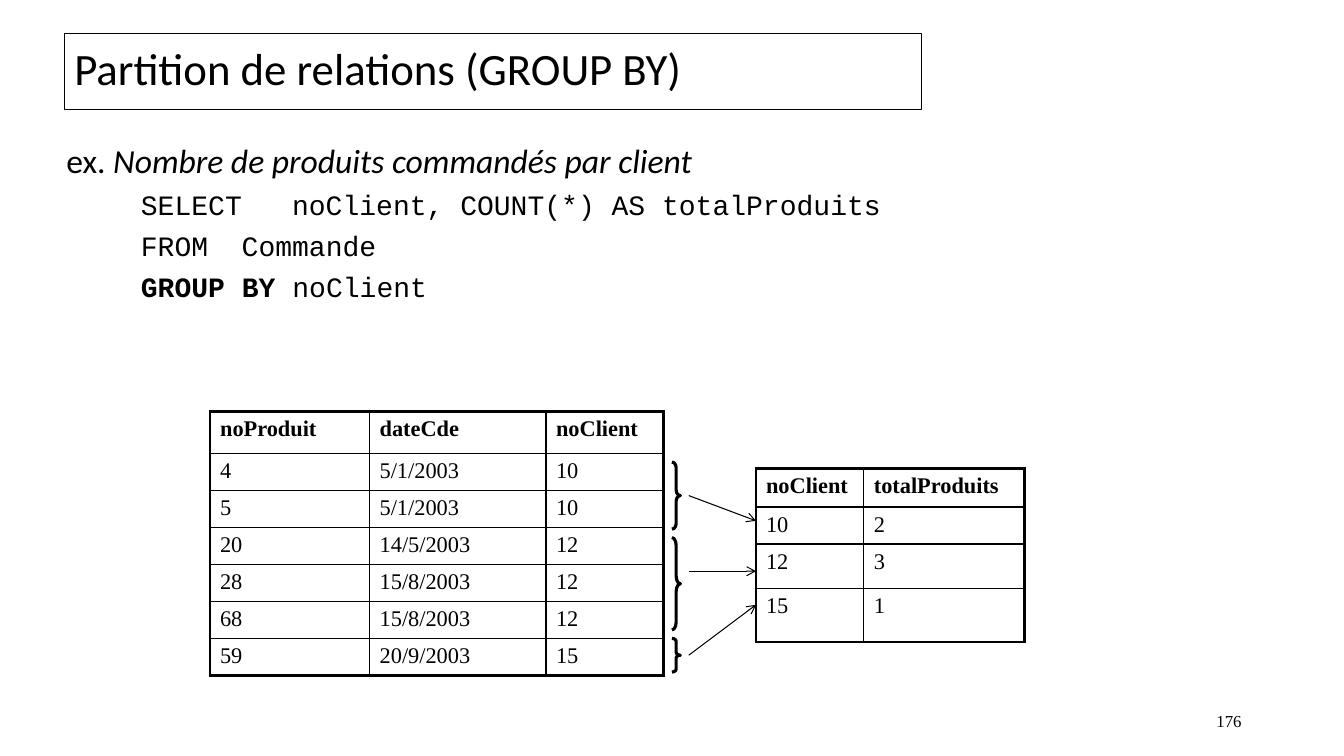
from dataclasses import dataclass

from lxml import etree
from pptx import Presentation
from pptx.dml.color import RGBColor
from pptx.enum.shapes import MSO_CONNECTOR, MSO_SHAPE
from pptx.enum.text import MSO_ANCHOR, PP_ALIGN
from pptx.oxml.ns import qn
from pptx.util import Pt

STRAIGHT = MSO_CONNECTOR.STRAIGHT
RECTANGLE, BRACE = MSO_SHAPE.RECTANGLE, MSO_SHAPE.RIGHT_BRACE
MIDDLE = MSO_ANCHOR.MIDDLE
LEFT, RIGHT = PP_ALIGN.LEFT, PP_ALIGN.RIGHT


@dataclass(frozen=True)
class Theme:
    ink: RGBColor = RGBColor(0, 0, 0)
    sans: str = "Calibri"
    mono: str = "Courier New"
    serif: str = "Times New Roman"
    title: int = 32
    lead: int = 24
    code: int = 20
    cell: int = 16
    number: int = 12
    thin: float = 0.75
    grid: float = 1
    thick: float = 2.25


THEME = Theme()

ORDERS = [
    ("noProduit", "dateCde", "noClient"),
    ("4", "5/1/2003", "10"),
    ("5", "5/1/2003", "10"),
    ("20", "14/5/2003", "12"),
    ("28", "15/8/2003", "12"),
    ("68", "15/8/2003", "12"),
    ("59", "20/9/2003", "15"),
]
TOTALS = [("noClient", "totalProduits"), ("10", "2"), ("12", "3"), ("15", "1")]

# Brace top and height, then arrow start and end heights
GROUPS = [(330, 48, 354, 372), (384, 66, 408, 408), (456, 24, 468, 432)]
BRACE_LEFT, BRACE_WIDTH = 480, 6
ARROW_LEFT, ARROW_RIGHT = 492, 540


def box(*lengths):
    return [Pt(v) for v in lengths]


def style(font, name, size, bold=None, italic=None):
    font.name, font.size = name, Pt(size)
    font.bold, font.italic = bold, italic
    font.color.rgb = THEME.ink


def outline(line, width):
    line.color.rgb = THEME.ink
    line.width = Pt(width)


def add_title(slide, text):
    sp = slide.shapes.add_shape(RECTANGLE, *box(46, 24, 612, 54))
    sp.shadow.inherit = False
    sp.fill.background()
    outline(sp.line, THEME.thin)
    tf = sp.text_frame
    tf.vertical_anchor = MIDDLE
    p = tf.paragraphs[0]
    p.text, p.alignment, p.line_spacing = text, LEFT, 0.9
    style(p.font, THEME.sans, THEME.title)


def hang(p, indent, tab):
    """Give the paragraph a hanging indent and one tab stop."""
    p_pr = p._p.get_or_add_pPr()
    p_pr.set("marL", str(Pt(indent)))
    p_pr.set("indent", str(-Pt(indent)))
    tabs = etree.SubElement(p_pr, qn("a:tabLst"))
    etree.SubElement(tabs, qn("a:tab"), pos=str(Pt(tab)), algn="l")


def add_query(slide):
    tf = slide.shapes.add_textbox(*box(40.3, 102, 612, 127)).text_frame
    tf.word_wrap = True
    lines = [
        (THEME.sans, THEME.lead, [("ex. ", {}),
         ("Nombre de produits commandés par client", {"italic": True})]),
        (THEME.mono, THEME.code,
         [("\tSELECT\tnoClient, COUNT(*) AS totalProduits", {})]),
        (THEME.mono, THEME.code, [("\tFROM\tCommande", {})]),
        (THEME.mono, THEME.code,
         [("\tGROUP BY", {"bold": True}), (" noClient", {})]),
    ]
    for i, (name, size, runs) in enumerate(lines):
        p = tf.add_paragraph() if i else tf.paragraphs[0]
        p.line_spacing = 0.8
        p.space_before = Pt(10 if i else 0)
        hang(p, 53.3, 166)
        for text, emphasis in runs:
            r = p.add_run()
            r.text = text
            style(r.font, name, size, **emphasis)


def set_border(cell, side, width):
    tc_pr = cell._tc.get_or_add_tcPr()
    ln = etree.SubElement(tc_pr, qn(f"a:ln{side}"), w=str(Pt(width)))
    fill = etree.SubElement(ln, qn("a:solidFill"))
    etree.SubElement(fill, qn("a:srgbClr"), val=str(THEME.ink))


def add_grid(slide, left, top, widths, heights, rows):
    """Add a table with a thick frame, thin inner lines and a bold header."""
    size = box(left, top, sum(widths), sum(heights))
    table = slide.shapes.add_table(len(rows), len(widths), *size).table
    table.first_row = table.horz_banding = False
    for column, width in zip(table.columns, widths):
        column.width = Pt(width)
    for row, height in zip(table.rows, heights):
        row.height = Pt(height)
    last_row, last_col = len(rows) - 1, len(widths) - 1
    for i, texts in enumerate(rows):
        for j, text in enumerate(texts):
            cell = table.cell(i, j)
            frame = {"L": j == 0, "R": j == last_col,
                     "T": i == 0, "B": i == last_row}
            for side, outer in frame.items():
                set_border(cell, side, THEME.thick if outer else THEME.grid)
            cell.fill.background()
            p = cell.text_frame.paragraphs[0]
            p.text = text
            style(p.font, THEME.serif, THEME.cell, bold=i == 0)


def add_brace(slide, top, height):
    sp = slide.shapes.add_shape(
        BRACE, *box(BRACE_LEFT, top, BRACE_WIDTH, height))
    sp.shadow.inherit = False
    sp.adjustments[0] = height / 72
    sp.fill.background()
    outline(sp.line, THEME.thick)


def add_arrow(slide, start, end):
    line = slide.shapes.add_connector(
        STRAIGHT, *box(ARROW_LEFT, start, ARROW_RIGHT, end))
    outline(line.line, THEME.thin)
    sp_pr = line._element.spPr
    etree.SubElement(sp_pr.find(qn("a:ln")), qn("a:tailEnd"), type="arrow")
    etree.SubElement(sp_pr, qn("a:effectLst"))


def add_number(slide, text):
    tf = slide.shapes.add_textbox(*box(678, 500.4, 216, 28.8)).text_frame
    tf.word_wrap = True
    tf.vertical_anchor = MIDDLE
    p = tf.paragraphs[0]
    p.text, p.alignment = text, RIGHT
    style(p.font, THEME.serif, THEME.number)


def main():
    prs = Presentation()
    prs.slide_width, prs.slide_height = Pt(960), Pt(540)
    slide = prs.slides.add_slide(prs.slide_layouts[6])
    add_number(slide, "176")
    add_title(slide, "Partition de relations (GROUP BY)")
    add_query(slide)
    add_grid(slide, 150, 294, [114, 126, 84], [30] + [26.4] * 6, ORDERS)
    add_grid(slide, 540, 334.8, [77, 115], [27.4, 26.4, 32, 38], TOTALS)
    for top, height, start, end in GROUPS:
        add_arrow(slide, start, end)
        add_brace(slide, top, height)
    prs.save("out.pptx")


if __name__ == "__main__":
    main()
